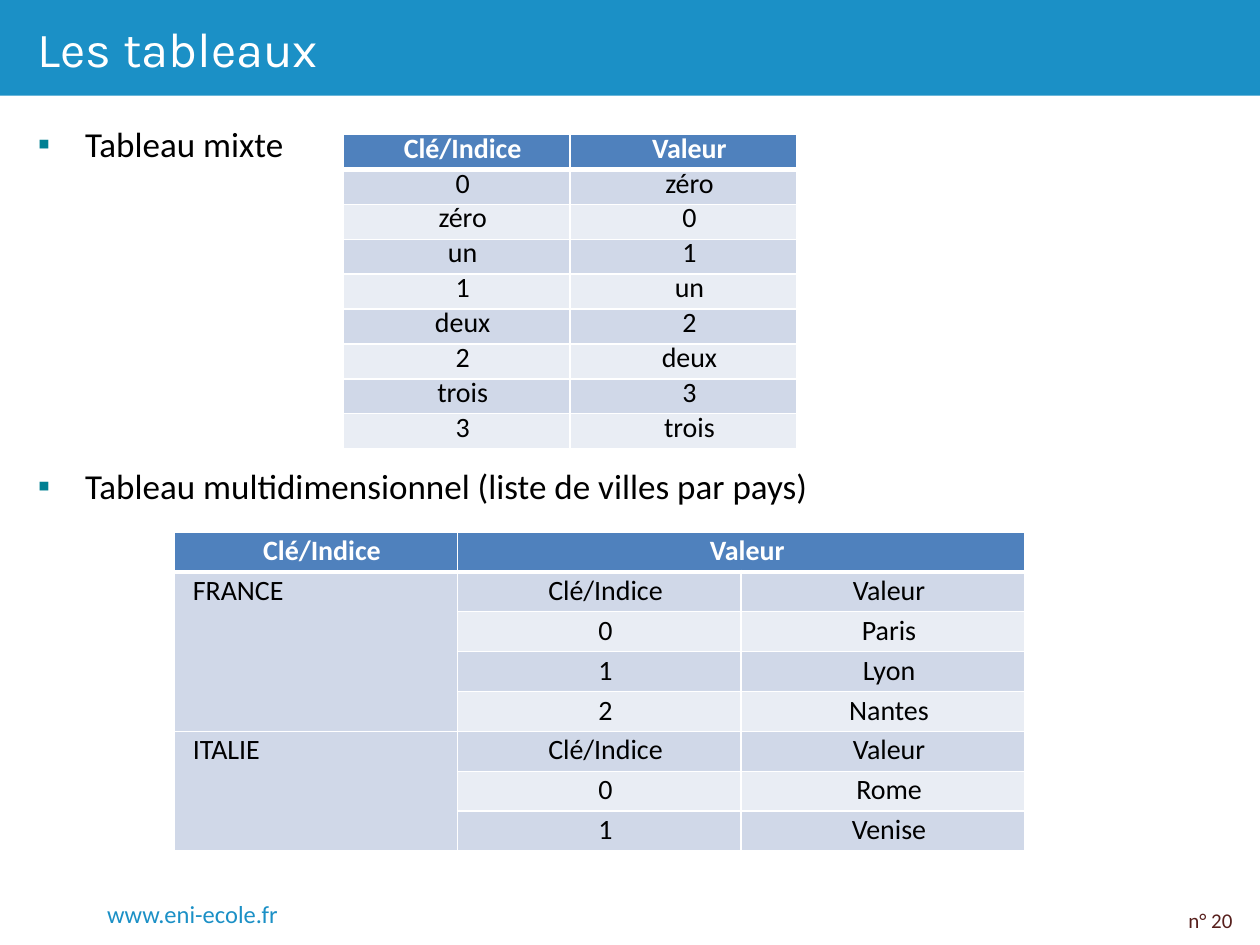
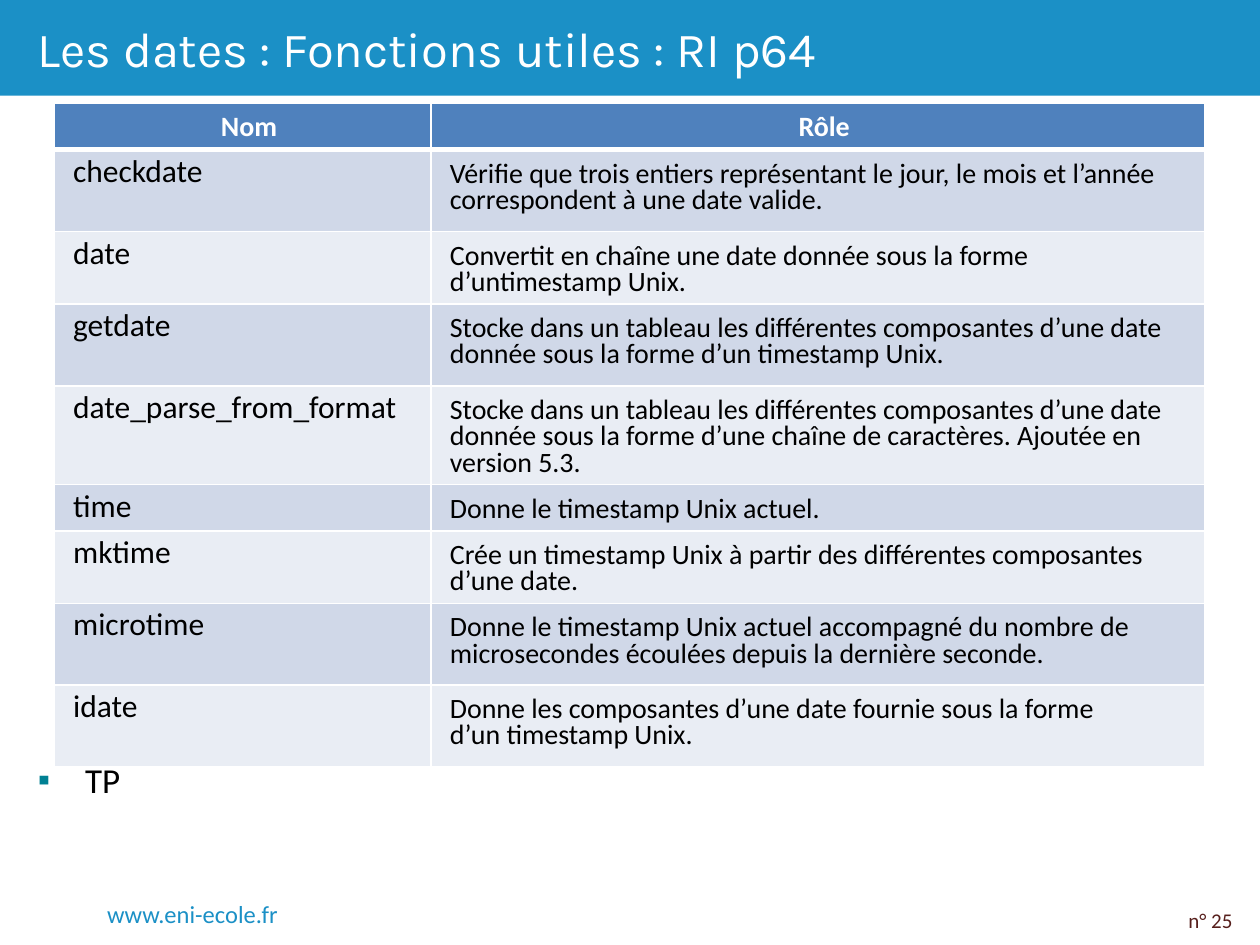
from dataclasses import dataclass

from lxml.etree import SubElement
from pptx import Presentation
from pptx.dml.color import RGBColor
from pptx.enum.shapes import MSO_SHAPE
from pptx.enum.text import MSO_ANCHOR, MSO_AUTO_SIZE, PP_ALIGN
from pptx.oxml.ns import qn
from pptx.util import Pt

BLUE = "1B90C6"
TEAL = "008093"
MAROON = "571F1C"
WHITE = "FFFFFF"
BLACK = "000000"
HEADER_FILL = "4F81BD"
ROW_FILLS = ("E9EDF4", "D0D8E8")
BODY_FONT = "Calibri"
TITLE_FONT = "Karla"
BAND_HEIGHT = 54.72
BULLET_INDENT = 27
BODY_BOTTOM = 486


@dataclass(frozen=True)
class Grid:
    left: float
    top: float
    widths: tuple[float, ...]
    heights: tuple[float, ...]
    inset_top: float
    inset_bottom: float
    rows: tuple[tuple[str, ...], ...]
    sizes: tuple[float, ...]
    left_columns: tuple[int, ...] = ()
    merges: tuple[tuple[int, int, int, int], ...] = ()


@dataclass(frozen=True)
class Sheet:
    title: str
    number: int
    body_top: float
    bullets: str
    bullet_gap: float
    grids: tuple[Grid, ...]


MIXED = Grid(
    196, 77, (129.6,) * 2, (19.9,) * 9, 5.76, 2.16,
    (
        ("Clé/Indice", "Valeur"),
        ("0", "zéro"),
        ("zéro", "0"),
        ("un", "1"),
        ("1", "un"),
        ("deux", "2"),
        ("2", "deux"),
        ("trois", "3"),
        ("3", "trois"),
    ),
    (16, 16),
)

CITIES = Grid(
    99.4, 304, (162,) * 3, (22.7,) * 8, 8.64, 2.16,
    (
        ("Clé/Indice", "Valeur", ""),
        ("FRANCE", "Clé/Indice", "Valeur"),
        ("", "0", "Paris"),
        ("", "1", "Lyon"),
        ("", "2", "Nantes"),
        ("ITALIE", "Clé/Indice", "Valeur"),
        ("", "0", "Rome"),
        ("", "1", "Venise"),
    ),
    (16, 16, 16),
    left_columns=(0,),
    merges=((0, 1, 0, 2), (1, 0, 4, 0), (5, 0, 7, 0)),
)

DATE_FUNCTIONS = Grid(
    31, 59, (215.3, 442.1),
    (26.6, 46.8, 41.4, 46.8, 56.4, 26.4, 41.4, 46.8, 46.8), 11.52, 2.88,
    (
        ("Nom", "Rôle"),
        ("checkdate", "Vérifie que trois entiers représentant le jour, le mois et l’année\n"
                      "correspondent à une date valide."),
        ("date", "Convertit en chaîne une date donnée sous la forme\n"
                 "d’untimestamp Unix."),
        ("getdate", "Stocke dans un tableau les différentes composantes d’une date\n"
                    "donnée sous la forme d’un timestamp Unix."),
        ("date_parse_from_format",
         "Stocke dans un tableau les différentes composantes d’une date\n"
         "donnée sous la forme d’une chaîne de caractères. Ajoutée en\n"
         "version 5.3."),
        ("time", "Donne le timestamp Unix actuel."),
        ("mktime", "Crée un timestamp Unix à partir des différentes composantes\n"
                   "d’une date."),
        ("microtime", "Donne le timestamp Unix actuel accompagné du nombre de\n"
                      "microsecondes écoulées depuis la dernière seconde."),
        ("idate", "Donne les composantes d’une date fournie sous la forme\n"
                  "d’un timestamp Unix."),
    ),
    (18, 16),
    left_columns=(0, 1),
)

SHEETS = (
    Sheet("Les tableaux", 20, 66.24,
          "Tableau mixte\nTableau multidimensionnel (liste de villes par pays)",
          171.6, (MIXED, CITIES)),
    Sheet("Les dates : Fonctions utiles : RI p64", 25, 430, "TP", 0, (DATE_FUNCTIONS,)),
)


def color(value: str) -> RGBColor:
    return RGBColor.from_string(value)


def add_bullet(properties) -> None:
    properties.set("indent", str(-Pt(BULLET_INDENT)))
    bullet_color = SubElement(properties, qn("a:buClr"))
    SubElement(bullet_color, qn("a:srgbClr"), val=TEAL)
    SubElement(properties, qn("a:buFont"), typeface="Arial")
    SubElement(properties, qn("a:buChar"), char="▪")


def write(frame, text: str, *, size: float, ink: str = BLACK, font: str = BODY_FONT,
          bold: bool = False, align=PP_ALIGN.LEFT, indent: float = 0,
          line: float | None = None, before: float = 0, after: float = 0,
          bullet: bool = False) -> None:
    for index, content in enumerate(text.split("\n")):
        para = frame.add_paragraph() if index else frame.paragraphs[0]
        para.alignment = align
        para.space_before = Pt(before if index else 0)
        para.space_after = Pt(after)
        if line:
            para.line_spacing = Pt(line)
        properties = para._p.get_or_add_pPr()
        properties.set("marL", str(Pt(indent)))
        if bullet:
            add_bullet(properties)
        span = para.add_run()
        span.text = content
        span.font.size = Pt(size)
        span.font.name = font
        span.font.bold = bold
        span.font.color.rgb = color(ink)


def place(box, left: float, top: float, width: float, height: float) -> None:
    box.left, box.top, box.width, box.height = map(Pt, (left, top, width, height))


def add_label(page, text: str, left: float, top: float, width: float, height: float,
              inset: bool, **style):
    box = page.shapes.add_textbox(Pt(left), Pt(top), Pt(width), Pt(height))
    frame = box.text_frame
    frame.word_wrap = True
    if not inset:
        frame.margin_left = frame.margin_right = 0
        frame.margin_top = frame.margin_bottom = 0
    write(frame, text, **style)
    return box


def furnish_layout(layout, page) -> None:
    band = page.shapes.add_shape(MSO_SHAPE.RECTANGLE, 0, 0, Pt(720), Pt(BAND_HEIGHT))
    band.shadow.inherit = False
    band.fill.solid()
    band.fill.fore_color.rgb = color(BLUE)
    band.line.fill.background()
    address = add_label(page, "www.eni-ecole.fr", 61.2, 514, 230.4, 17.28, False,
                        size=14, ink=BLUE)
    for shape in (band, address):
        layout.shapes.element.append(shape.element)


def set_borders(cell, header: bool) -> None:
    properties = cell._tc.get_or_add_tcPr()
    for side in ("L", "R", "T", "B"):
        weight = 3 if header and side == "B" else 1
        edge = SubElement(properties, qn(f"a:ln{side}"), w=str(Pt(weight)))
        fill = SubElement(edge, qn("a:solidFill"))
        SubElement(fill, qn("a:srgbClr"), val=WHITE)


def draw_grid(page, grid: Grid) -> None:
    table = page.shapes.add_table(
        len(grid.rows), len(grid.widths), Pt(grid.left), Pt(grid.top),
        Pt(sum(grid.widths)), Pt(sum(grid.heights))).table
    for column, width in zip(table.columns, grid.widths):
        column.width = Pt(width)
    for row, height in zip(table.rows, grid.heights):
        row.height = Pt(height)
    for first_row, first_column, last_row, last_column in grid.merges:
        table.cell(first_row, first_column).merge(table.cell(last_row, last_column))
    for row_index, texts in enumerate(grid.rows):
        header = row_index == 0
        for column_index, text in enumerate(texts):
            cell = table.cell(row_index, column_index)
            cell.margin_left = cell.margin_right = Pt(3.6)
            cell.margin_top = Pt(grid.inset_top)
            cell.margin_bottom = Pt(grid.inset_bottom)
            set_borders(cell, header)
            cell.fill.solid()
            cell.fill.fore_color.rgb = color(HEADER_FILL if header else ROW_FILLS[row_index % 2])
            if text:
                aligned_left = column_index in grid.left_columns and not header
                write(cell.text_frame, text,
                      size=16 if header else grid.sizes[column_index],
                      ink=WHITE if header else BLACK, bold=header,
                      align=PP_ALIGN.LEFT if aligned_left else PP_ALIGN.CENTER,
                      indent=7.2, line=12, before=1.5, after=1.5)


def fill_page(page, sheet: Sheet) -> None:
    title, body = page.shapes.title, page.placeholders[1]
    place(title, 14.4, 0, 697.68, BAND_HEIGHT)
    place(body, 14.4, sheet.body_top, 697.68, BODY_BOTTOM - sheet.body_top)
    for box, anchor in ((title, MSO_ANCHOR.MIDDLE), (body, MSO_ANCHOR.TOP)):
        box.text_frame.auto_size = MSO_AUTO_SIZE.NONE
        box.text_frame.vertical_anchor = anchor
    write(title.text_frame, sheet.title, size=28, ink=WHITE, font=TITLE_FONT)
    write(body.text_frame, sheet.bullets, size=20, indent=BULLET_INDENT,
          before=sheet.bullet_gap, bullet=True)
    for grid in sheet.grids:
        draw_grid(page, grid)
    add_label(page, f"n° {sheet.number}", 643.68, 514.8, 67.68, 21.6, True,
              size=12, ink=MAROON, align=PP_ALIGN.RIGHT)


def main() -> None:
    deck = Presentation()
    deck.slide_width, deck.slide_height = Pt(720), Pt(540)
    layout = deck.slide_layouts[1]
    pages = [deck.slides.add_slide(layout) for _ in SHEETS]
    furnish_layout(layout, pages[0])
    for page, sheet in zip(pages, SHEETS):
        fill_page(page, sheet)
    deck.save("out.pptx")


if __name__ == "__main__":
    main()
